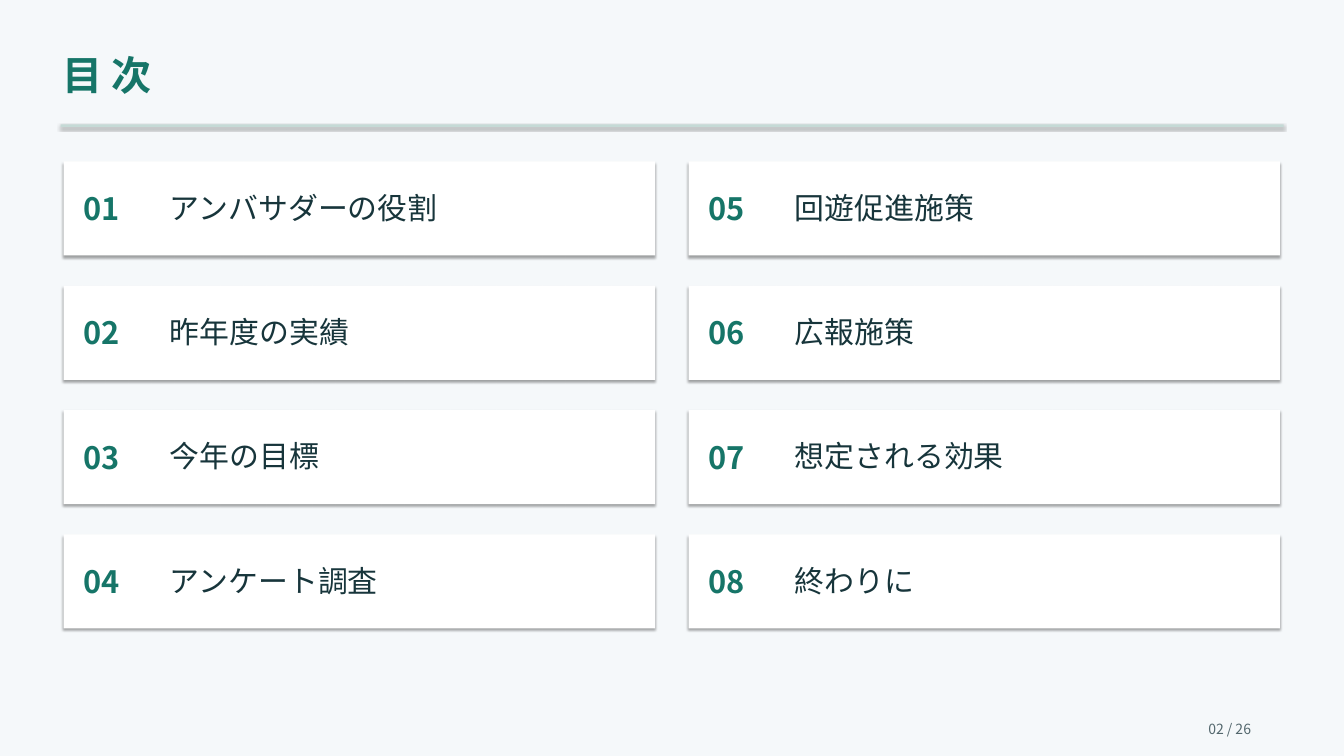
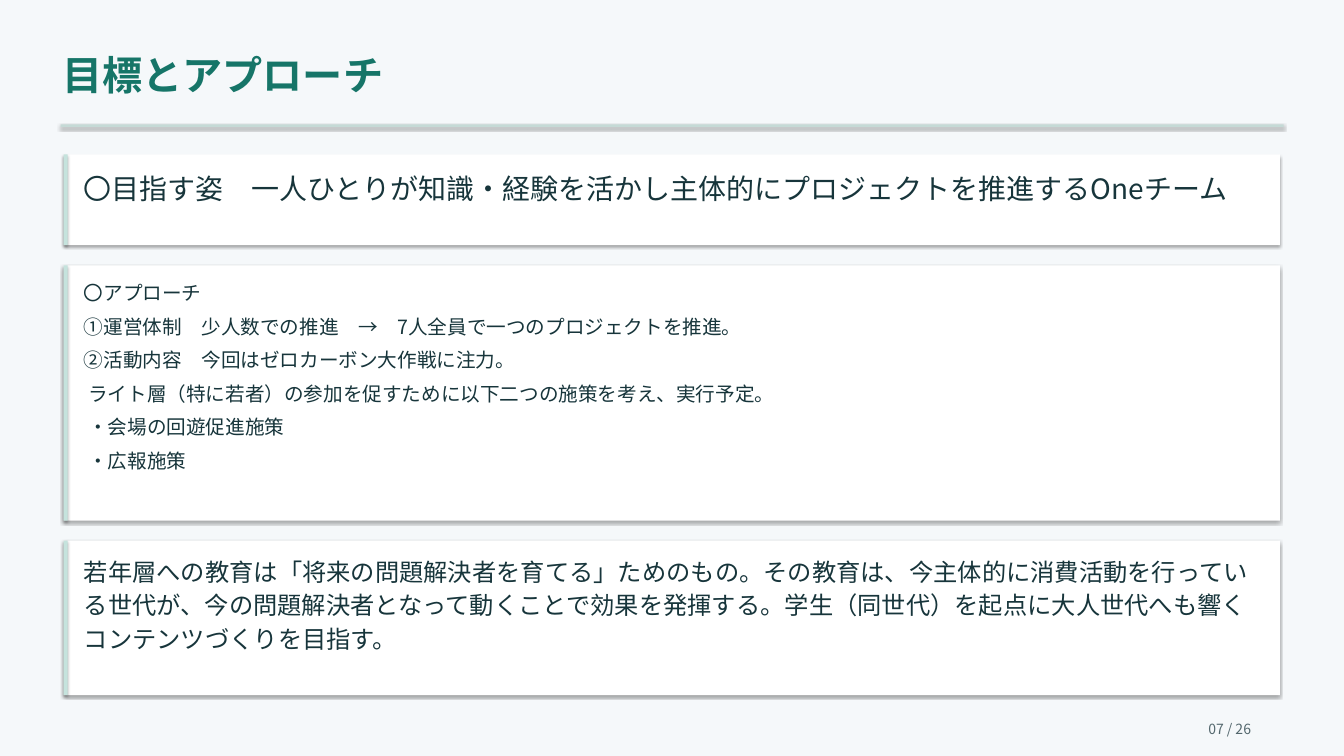
from lxml import etree
from pptx import Presentation
from pptx.dml.color import RGBColor
from pptx.enum.shapes import MSO_SHAPE as Preset
from pptx.enum.text import MSO_AUTO_SIZE as AutoSize
from pptx.oxml.ns import qn
from pptx.util import Cm, Pt

FONT = "Noto Sans CJK JP"
BACKGROUND = RGBColor(0xF5, 0xF8, 0xFA)
GREEN = RGBColor(0x16, 0x75, 0x68)
INK = RGBColor(0x17, 0x35, 0x3B)
GRAY = RGBColor(0x53, 0x67, 0x6D)
RULE = RGBColor(0xC5, 0xDA, 0xD6)
ACCENT = RGBColor(0xC5, 0xE3, 0xDD)
WHITE = RGBColor(0xFF, 0xFF, 0xFF)

LEFT = 2.41  # left edge of all cards, in cm
PAD = 0.56  # from card edge to its text
TOTAL_PAGES = 26


class SlideBuilder:
    """Holds the shared style and the slide being filled."""

    def __init__(self):
        self.deck = Presentation()
        self.deck.slide_width, self.deck.slide_height = Cm(50.8), Cm(28.58)
        self.page = None

    def new_page(self, title, number):
        self.page = self.deck.slides.add_slide(self.deck.slide_layouts[6])
        fill = self.page.background.fill
        fill.solid()
        fill.fore_color.rgb = BACKGROUND
        self.text([title], 2.16, 1.52, 46.48, 2.54, 43, GREEN, bold=True)
        self.rect(2.29, 4.7, 46.23, 0.1, RULE)
        self.text([f"{number:02} / {TOTAL_PAGES}"],
                  45.47, 27.05, 3.05, 0.76, 15, GRAY)

    def rect(self, left, top, width, height, color):
        box = self.page.shapes.add_shape(
            Preset.RECTANGLE, Cm(left), Cm(top), Cm(width), Cm(height))
        box.fill.solid()
        box.fill.fore_color.rgb = color
        box.line.fill.background()
        self.soft_shadow(box)

    def soft_shadow(self, box):
        box.shadow.inherit = False
        effects = box._element.spPr.find(qn("a:effectLst"))
        shadow = etree.SubElement(
            effects, qn("a:outerShdw"), blurRad=str(Pt(3.1)),
            dist=str(Pt(1.8)), dir="5400000", rotWithShape="0")
        color = etree.SubElement(shadow, qn("a:srgbClr"), val="000000")
        etree.SubElement(color, qn("a:alpha"), val="35000")

    def text(self, lines, left, top, width, height, size, color,
             bold=False, indented=()):
        box = self.page.shapes.add_textbox(
            Cm(left), Cm(top), Cm(width), Cm(height))
        frame = box.text_frame
        frame.word_wrap = True
        frame.auto_size = AutoSize.SHAPE_TO_FIT_TEXT
        frame.margin_left = frame.margin_right = Cm(0.2)
        frame.margin_top = frame.margin_bottom = Cm(0.1)
        frame.text = "\n".join(lines)
        for index, para in enumerate(frame.paragraphs):
            para.line_spacing = 1.15
            para.space_after = Pt(7)
            if index in indented:
                para._p.get_or_add_pPr().set("marL", str(Cm(0.17)))
            for span in para.runs:
                font = span.font
                font.name, font.size, font.bold = FONT, Pt(size), bold
                font.color.rgb = color
                etree.SubElement(font._element, qn("a:ea"), typeface=FONT)

    def contents_card(self, number, label, left, top):
        self.rect(left, top, 22.35, 3.56, WHITE)
        self.text([f"{number:02}"], left + PAD, top + 0.76, 3.05, 1.78,
                  33, GREEN, bold=True)
        self.text([label], left + 3.81, top + 0.76, 17.78, 2.03, 32, INK)

    def accent_card(self, lines, top, height, size, indented=()):
        width = 45.97
        self.rect(LEFT, top, width, height, WHITE)
        self.rect(LEFT, top, 0.15, height, ACCENT)
        self.text(lines, LEFT + PAD, top + 0.36, width - 2 * PAD,
                  height - 0.72, size, INK, indented=indented)


CONTENTS = [
    "アンバサダーの役割", "昨年度の実績", "今年の目標", "アンケート調査",
    "回遊促進施策", "広報施策", "想定される効果", "終わりに",
]

# Each card: lines, height, text size, indented lines
GOAL_CARDS = [
    (["〇目指す姿　一人ひとりが知識・経験を活かし主体的にプロジェクトを推進するOneチーム"],
     3.43, 30, ()),
    (["〇アプローチ",
      "①運営体制　少人数での推進　→　7人全員で一つのプロジェクトを推進。",
      "②活動内容　今回はゼロカーボン大作戦に注力。",
      "ライト層（特に若者）の参加を促すために以下二つの施策を考え、実行予定。",
      "・会場の回遊促進施策",
      "・広報施策"],
     9.65, 21, (3, 4, 5)),
    (["若年層への教育は「将来の問題解決者を育てる」ためのもの。"
      "その教育は、今主体的に消費活動を行っている世代が、"
      "今の問題解決者となって動くことで効果を発揮する。"
      "学生（同世代）を起点に大人世代へも響くコンテンツづくりを目指す。"],
     5.84, 26, ()),
]


def main():
    builder = SlideBuilder()

    # Contents: two columns of four cards
    builder.new_page("目 次", 2)
    for index, label in enumerate(CONTENTS):
        column, row = divmod(index, 4)
        builder.contents_card(index + 1, label,
                              LEFT + column * 23.62, 6.1 + row * 4.7)

    # Goal and approach: stacked cards with equal gaps
    builder.new_page("目標とアプローチ", 7)
    top = 5.84
    for lines, height, size, indented in GOAL_CARDS:
        builder.accent_card(lines, top, height, size, indented)
        top += height + 0.76

    builder.deck.save("out.pptx")


if __name__ == "__main__":
    main()
